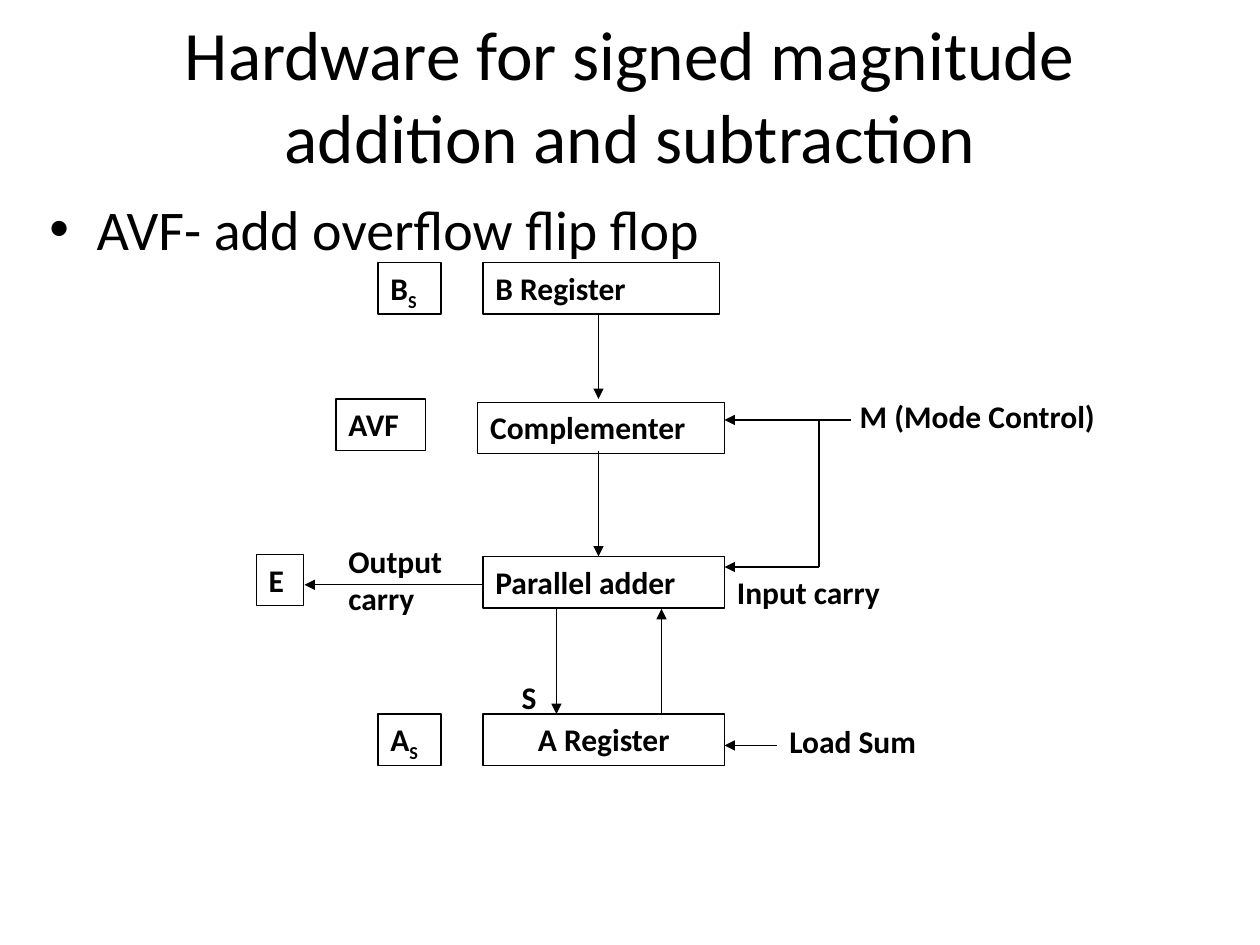
from lxml import etree
from pptx import Presentation, util as u
from pptx.dml.color import RGBColor
from pptx.enum import shapes, text
from pptx.oxml.ns import qn

BLACK = RGBColor(0, 0, 0)
WHITE = RGBColor(255, 255, 255)
LEFT, CENTER = text.PP_ALIGN.LEFT, text.PP_ALIGN.CENTER

presentation = Presentation()
presentation.slide_width, presentation.slide_height = u.Inches(10), u.Inches(7.5)
COLUMN = presentation.slide_width / 120
ROW = presentation.slide_height / 90

slide = presentation.slides.add_slide(presentation.slide_layouts[1])
slide.background.fill.solid()
slide.background.fill.fore_color.rgb = WHITE


def place(left, top, width, height):
    """Turn grid columns and rows into slide lengths."""
    return int(left * COLUMN), int(top * ROW), int(width * COLUMN), int(height * ROW)


def write_label(shape, lines, alignment=LEFT, wrap=False):
    """Fill a shape with bold lines; text after an underscore is a subscript."""
    frame = shape.text_frame
    frame.word_wrap = wrap
    frame.auto_size = text.MSO_AUTO_SIZE.SHAPE_TO_FIT_TEXT
    frame.vertical_anchor = text.MSO_ANCHOR.TOP
    for index, line in enumerate(lines.split("\n")):
        paragraph = frame.add_paragraph() if index else frame.paragraphs[0]
        paragraph.alignment = alignment
        base, _, subscript = line.partition("_")
        paragraph.add_run().text = base
        if subscript:
            run = paragraph.add_run()
            run.text = subscript
            run._r.get_or_add_rPr().set("baseline", "-25000")
        paragraph.font.name, paragraph.font.size = "Calibri", u.Pt(18)
        paragraph.font.bold = True
        paragraph.font.color.rgb = BLACK


# Title and bullet
title, body = slide.placeholders
for placeholder, content, size, spot in (
    (title, "Hardware for signed magnitude addition and subtraction", 39.6, (6, 1.5, 108, 15)),
    (body, "AVF- add overflow flip flop", 32, (3.5, 17.9, 108, 59.4)),
):
    placeholder.left, placeholder.top, placeholder.width, placeholder.height = place(*spot)
    placeholder.text_frame.text = content
    placeholder.text_frame.auto_size = text.MSO_AUTO_SIZE.NONE
    paragraph = placeholder.text_frame.paragraphs[0]
    paragraph.font.name, paragraph.font.size = "Calibri", u.Pt(size)
    paragraph.font.color.rgb = BLACK

# Registers, adder and flip flops: text, left, top, width, alignment, wrap
BOX_HEIGHT = 4.9
for label, left, top, width, alignment, wrap in (
    ("B Register", 46, 25, 22.5, LEFT, True),
    ("Complementer", 45.5, 38.3, 23.5, LEFT, False),
    ("Parallel adder", 46, 53, 23, LEFT, True),
    ("A Register", 46, 68, 23, CENTER, True),
    ("B_S", 36, 25, 6, LEFT, False),
    ("AVF", 32, 38, 8.5, LEFT, False),
    ("E", 24.4, 52.8, 4.5, LEFT, False),
    ("A_S", 36, 68, 6, LEFT, False),
):
    box = slide.shapes.add_shape(
        shapes.MSO_SHAPE.RECTANGLE, *place(left, top, width, BOX_HEIGHT))
    box.shadow.inherit = False
    box.fill.background()
    box.line.color.rgb = BLACK
    box.line.width = u.Pt(0.75)
    write_label(box, label, alignment, wrap)

# Signal names
for label, left, top, width, height in (
    ("Output\ncarry", 32, 51, 13.1, 8.4),
    ("S", 48.5, 64, 4.4, 4.8),
    ("Input carry", 69, 54, 17.9, 4.8),
    ("M (Mode Control)", 80.7, 37.2, 27.1, 4.8),
    ("Load Sum", 74, 68.2, 16.9, 4.8),
):
    write_label(slide.shapes.add_textbox(*place(left, top, width, height)), label)

# Signal paths: start column and row, end column and row, arrowhead
for *ends, has_arrow in (
    (81, 40, 69, 40, True),
    (74, 71, 69, 71, True),
    (53, 58, 53, 68, True),
    (63, 68, 63, 58, True),
    (57, 43, 57, 53, True),
    (57, 30, 57, 38, True),
    (78, 40, 78, 54, False),
    (78, 54, 69, 54, True),
    (46, 55.7, 29, 55.7, True),
):
    connector = slide.shapes.add_connector(shapes.MSO_CONNECTOR.STRAIGHT, *place(*ends))
    connector.line.color.rgb = BLACK
    connector.line.width = u.Pt(0.75)
    if has_arrow:
        etree.SubElement(connector.line._get_or_add_ln(), qn("a:tailEnd"), type="triangle")
    etree.SubElement(connector._element.spPr, qn("a:effectLst"))

presentation.save("out.pptx")
